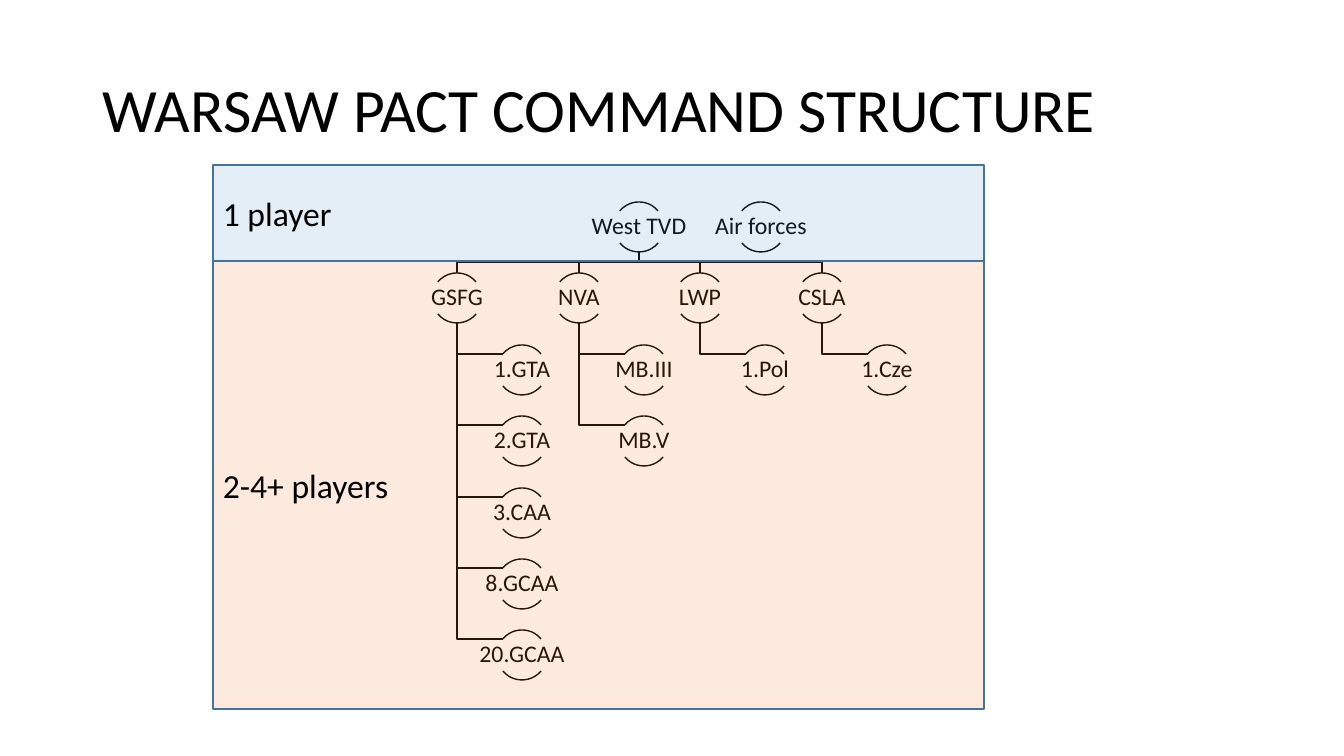
"""Build the Warsaw Pact command structure slide."""
from lxml import etree
from pptx import Presentation
from pptx.dml.color import RGBColor
from pptx.enum.shapes import MSO_SHAPE
from pptx.enum.text import MSO_ANCHOR, PP_ALIGN
from pptx.oxml.ns import qn
from pptx.util import Pt

RECTANGLE, ARC = MSO_SHAPE.RECTANGLE, MSO_SHAPE.ARC
MIDDLE, LEFT, CENTER = MSO_ANCHOR.MIDDLE, PP_ALIGN.LEFT, PP_ALIGN.CENTER
BLACK = RGBColor(0, 0, 0)
BLUE = RGBColor(0x5B, 0x9B, 0xD5)
ORANGE = RGBColor(0xF3, 0x87, 0x3D)
BORDER = RGBColor(0x43, 0x73, 0x9E)

EMU_PER_PX = 914400 / 100.8
CIRCLE, LABEL_WIDTH, LABEL_HEIGHT = 50, 101, 32
LABEL_DROP, ARC_REACH, CHILD_INDENT, BUS_RISE = 9, 19, 65, 11
FIRST_TOP, ROW_PITCH = 202, 71.4
FIRST_CENTER, COLUMN_PITCH = 457, 121.6
ARC_ANGLES = ((132, 192), (24, 84))
NODE_INSETS = {"margin_left": 12700, "margin_right": 12700,
               "margin_top": 12700, "margin_bottom": 12700}

HEADQUARTERS = {"West TVD": 1.5, "Air forces": 2.5}
ARMIES = {
    "GSFG": ("1.GTA", "2.GTA", "3.CAA", "8.GCAA", "20.GCAA"),
    "NVA": ("MB.III", "MB.V"),
    "LWP": ("1.Pol",),
    "CSLA": ("1.Cze",),
}
PLAYER_BANDS = (
    ("1 player", (213, 165, 771, 96), BLUE),
    ("2-4+ players", (213, 261, 771, 448), ORANGE),
)


def px(*lengths):
    """Turn pixel lengths into EMU."""
    return [round(length * EMU_PER_PX) for length in lengths]


def apply_format(target, values):
    """Set each named attribute of the target."""
    for name, value in values.items():
        setattr(target, name, value)


def row_top(row):
    """Return the top of the circles in a row."""
    return round(FIRST_TOP + row * ROW_PITCH)


def column_center(column):
    """Return the centre of a column of formations."""
    return round(FIRST_CENTER + column * COLUMN_PITCH)


def write_text(shape, text, size, align=LEFT, spacing=1.0, insets=None):
    """Write one paragraph, vertically centred, into a shape."""
    frame = shape.text_frame
    apply_format(frame, {"word_wrap": True, "vertical_anchor": MIDDLE, **(insets or {})})
    paragraph = frame.paragraphs[0]
    apply_format(paragraph, {"alignment": align, "line_spacing": spacing})
    run = paragraph.add_run()
    run.text = text
    apply_format(run.font, {"name": "Calibri", "size": Pt(size)})
    run.font.color.rgb = BLACK


def style_outline(shape, color):
    """Give a shape a thin line without shadow."""
    shape.shadow.inherit = False
    shape.line.color.rgb = color
    shape.line.width = Pt(1)


def add_label(slide, box, text, size, **layout):
    """Add a text box with tight line spacing."""
    label = slide.shapes.add_textbox(*px(*box))
    write_text(label, text, size, spacing=0.9, **layout)


def add_link(slide, points):
    """Draw an angled command line through the points."""
    start, *rest = [px(*point) for point in points]
    builder = slide.shapes.build_freeform(*start)
    builder.add_line_segments(rest, close=False)
    link = builder.convert_to_shape()
    link.fill.background()
    style_outline(link, BLACK)


def add_formation(slide, name, center, top):
    """Draw a formation's name between two arcs."""
    for angles in ARC_ANGLES:
        arc = slide.shapes.add_shape(ARC, *px(center - CIRCLE / 2, top, CIRCLE, CIRCLE))
        for index, angle in enumerate(angles):
            arc.adjustments[index] = angle
        arc.fill.background()
        style_outline(arc, BLACK)
    box = (center - LABEL_WIDTH / 2, top + LABEL_DROP, LABEL_WIDTH, LABEL_HEIGHT)
    add_label(slide, box, name, 17, align=CENTER, insets=NODE_INSETS)


def add_army_links(slide, column, child_count):
    """Link an army to the headquarters and to its formations."""
    center, top = column_center(column), row_top(1)
    command = column_center(HEADQUARTERS["West TVD"])
    bus = top - BUS_RISE
    add_link(slide, [(command, row_top(0) + CIRCLE), (command, bus), (center, bus), (center, top)])
    for row in range(2, 2 + child_count):
        level = row_top(row) + LABEL_DROP
        arc_end = center + CHILD_INDENT - ARC_REACH
        add_link(slide, [(center, top + CIRCLE), (center, level), (arc_end, level)])


def add_band(slide, text, box, color):
    """Lay a translucent player band over the chart."""
    band = slide.shapes.add_shape(RECTANGLE, *px(*box))
    band.fill.solid()
    band.fill.fore_color.rgb = color
    tint = band.fill._xPr.find(qn("a:solidFill"))[0]
    etree.SubElement(tint, qn("a:alpha"), val="17000")
    style_outline(band, BORDER)
    write_text(band, text, 24)


def main():
    """Build and save the slide."""
    deck = Presentation()
    deck.slide_width, deck.slide_height = px(1344, 756)
    slide = deck.slides.add_slide(deck.slide_layouts[6])
    add_label(slide, (93, 40, 1159, 146), "WARSAW PACT COMMAND STRUCTURE", 44)
    for column, children in enumerate(ARMIES.values()):
        add_army_links(slide, column, len(children))
    for name, column in HEADQUARTERS.items():
        add_formation(slide, name, column_center(column), row_top(0))
    for column, (army, children) in enumerate(ARMIES.items()):
        center = column_center(column)
        add_formation(slide, army, center, row_top(1))
        for row, child in enumerate(children, start=2):
            add_formation(slide, child, center + CHILD_INDENT, row_top(row))
    for text, box, color in PLAYER_BANDS:
        add_band(slide, text, box, color)
    deck.save("out.pptx")


if __name__ == "__main__":
    main()
